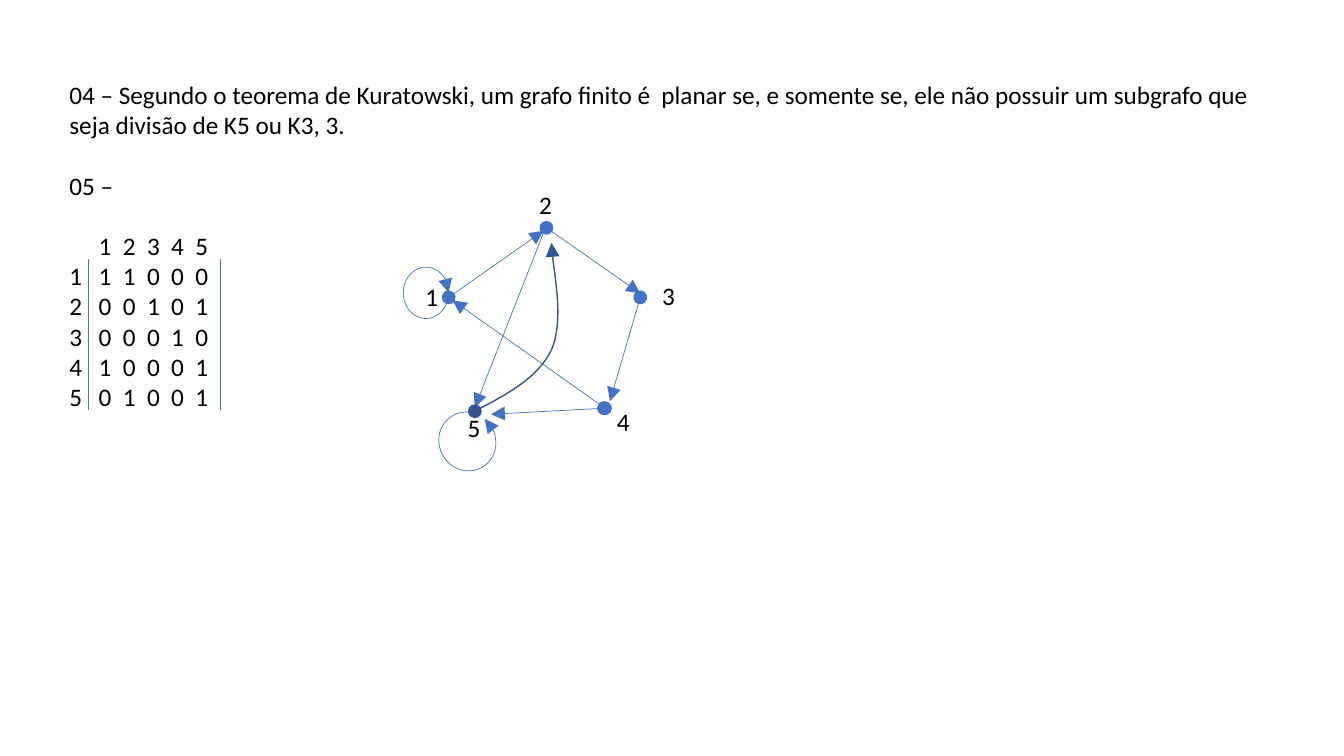
"""Build the slide on planar graphs and the adjacency matrix of a directed graph."""
from dataclasses import dataclass

from lxml.etree import SubElement
from pptx import Presentation
from pptx.dml.color import RGBColor
from pptx.enum.shapes import MSO_CONNECTOR, MSO_SHAPE
from pptx.enum.text import MSO_AUTO_SIZE
from pptx.oxml.ns import qn
from pptx.util import Inches, Pt

COLORS = {"text": "000000", "edge": "4472C4", "curve": "325491"}
FONT = "Calibri"
THEOREM = (
    "04 – Segundo o teorema de Kuratowski, um grafo finito é  planar se, e somente se, "
    "ele não possuir um subgrafo que seja divisão de K5 ou K3, 3."
)
MATRIX = ["11000", "00101", "00010", "10001", "01001"]
COLUMN_START, COLUMN_PITCH = 0.29, 0.24
BLOCK_GAP = 21.4
Point = tuple[float, float]


@dataclass
class Edge:
    start: Point
    end: Point
    head: str | None = None
    tail: str | None = None


@dataclass
class Loop:
    box: tuple[float, float, float, float]
    angles: Point
    rotation: float = 0
    head: str | None = None
    tail: str | None = None


@dataclass
class Label:
    text: str
    left: float
    top: float


EDGES = [
    Edge((0.88, 4.07), (0.88, 2.57)),
    Edge((2.19, 4.07), (2.19, 2.57)),
    Edge((4.45, 2.95), (5.39, 2.29), "oval", "triangle"),
    Edge((5.42, 2.26), (6.35, 2.91), "oval", "triangle"),
    Edge((6.05, 3.98), (6.35, 2.95), "triangle", "oval"),
    Edge((4.71, 4.04), (5.41, 2.26), "triangle"),
    Edge((4.49, 2.98), (6, 4.05), "triangle", "oval"),
    Edge((4.87, 4.11), (5.99, 4.05), "triangle", "oval"),
]
LOOPS = [
    Loop((4, 2.65, 0.45, 0.51), (18.75, 0), tail="triangle"),
    Loop((4.34, 4.1, 0.59, 0.56), (245, 213), 62.3, head="triangle"),
]
LABELS = [
    Label("1", 4.12, 2.74),
    Label("2", 5.25, 1.83),
    Label("3", 6.47, 2.73),
    Label("4", 6.02, 3.98),
    Label("5", 4.54, 4.04),
]
CURVE = [
    (4.71, 4.08), (5.03, 3.91), (5.34, 3.74), (5.47, 3.47),
    (5.59, 3.19), (5.47, 2.56), (5.47, 2.41),
]


def style_line(shape, color: str, width: float, head: str | None, tail: str | None) -> None:
    shape.line.color.rgb = RGBColor.from_string(COLORS[color])
    shape.line.width = Pt(width)
    line = shape.line._get_or_add_ln()
    for tag, kind in (("a:headEnd", head), ("a:tailEnd", tail)):
        if kind:
            SubElement(line, qn(tag), type=kind, w="lg", len="lg")


def add_edge(slide, edge: Edge) -> None:
    ends = [Inches(value) for value in (*edge.start, *edge.end)]
    connector = slide.shapes.add_connector(MSO_CONNECTOR.STRAIGHT, *ends)
    style_line(connector, "edge", 0.5, edge.head, edge.tail)
    SubElement(connector._element.spPr, qn("a:effectLst"))


def add_loop(slide, loop: Loop) -> None:
    arc = slide.shapes.add_shape(MSO_SHAPE.ARC, *[Inches(value) for value in loop.box])
    for index, angle in enumerate(loop.angles):
        arc.adjustments[index] = angle * 0.6
    arc.rotation = loop.rotation
    arc.fill.background()
    style_line(arc, "edge", 0.5, loop.head, loop.tail)
    arc.shadow.inherit = False


def add_curve(slide, points: list[Point]) -> None:
    corners = [(Inches(x), Inches(y)) for x, y in points]
    builder = slide.shapes.build_freeform(*corners[0])
    builder.add_line_segments(corners[1:], close=False)
    curve = builder.convert_to_shape()
    segments = list(curve._element.iter(qn("a:lnTo")))
    outline = segments[0].getparent()
    for first in range(0, len(segments), 3):
        bezier = SubElement(outline, qn("a:cubicBezTo"))
        for segment in segments[first:first + 3]:
            bezier.append(segment[0])
            outline.remove(segment)
    curve.fill.background()
    style_line(curve, "curve", 1, "oval", "triangle")
    curve.shadow.inherit = False


def style_paragraph(paragraph, text: str) -> None:
    paragraph.text = text
    paragraph.font.name = FONT
    paragraph.font.size = Pt(18)
    paragraph.font.color.rgb = RGBColor.from_string(COLORS["text"])


def add_column_stops(paragraph) -> None:
    stops = SubElement(paragraph._p.get_or_add_pPr(), qn("a:tabLst"))
    for column in range(len(MATRIX)):
        position = Inches(COLUMN_START + column * COLUMN_PITCH)
        SubElement(stops, qn("a:tab"), pos=str(position), algn="l")
    properties = stops.getparent()
    properties.find(qn("a:defRPr")).addprevious(stops)


def add_answers(slide) -> None:
    box = slide.shapes.add_textbox(Inches(0.59), Inches(0.74), Inches(12.1), Inches(3.43))
    frame = box.text_frame
    frame.word_wrap = True
    style_paragraph(frame.paragraphs[0], THEOREM)
    question = frame.add_paragraph()
    style_paragraph(question, "05 –")
    question.space_before = Pt(BLOCK_GAP)
    rows = [("", "12345")] + [(str(number), row) for number, row in enumerate(MATRIX, 1)]
    for name, cells in rows:
        paragraph = frame.add_paragraph()
        style_paragraph(paragraph, "\t".join([name, *cells]))
        if not name:
            paragraph.space_before = Pt(BLOCK_GAP)
        add_column_stops(paragraph)


def add_label(slide, label: Label) -> None:
    box = slide.shapes.add_textbox(
        Inches(label.left), Inches(label.top), Inches(0.33), Inches(0.4)
    )
    box.text_frame.word_wrap = False
    box.text_frame.auto_size = MSO_AUTO_SIZE.SHAPE_TO_FIT_TEXT
    style_paragraph(box.text_frame.paragraphs[0], label.text)


def main() -> None:
    presentation = Presentation()
    presentation.slide_width = Inches(13.33)
    presentation.slide_height = Inches(7.5)
    slide = presentation.slides.add_slide(presentation.slide_layouts[6])
    add_answers(slide)
    for edge in EDGES:
        add_edge(slide, edge)
    for label in LABELS:
        add_label(slide, label)
    for loop in LOOPS:
        add_loop(slide, loop)
    add_curve(slide, CURVE)
    presentation.save("out.pptx")


if __name__ == "__main__":
    main()
